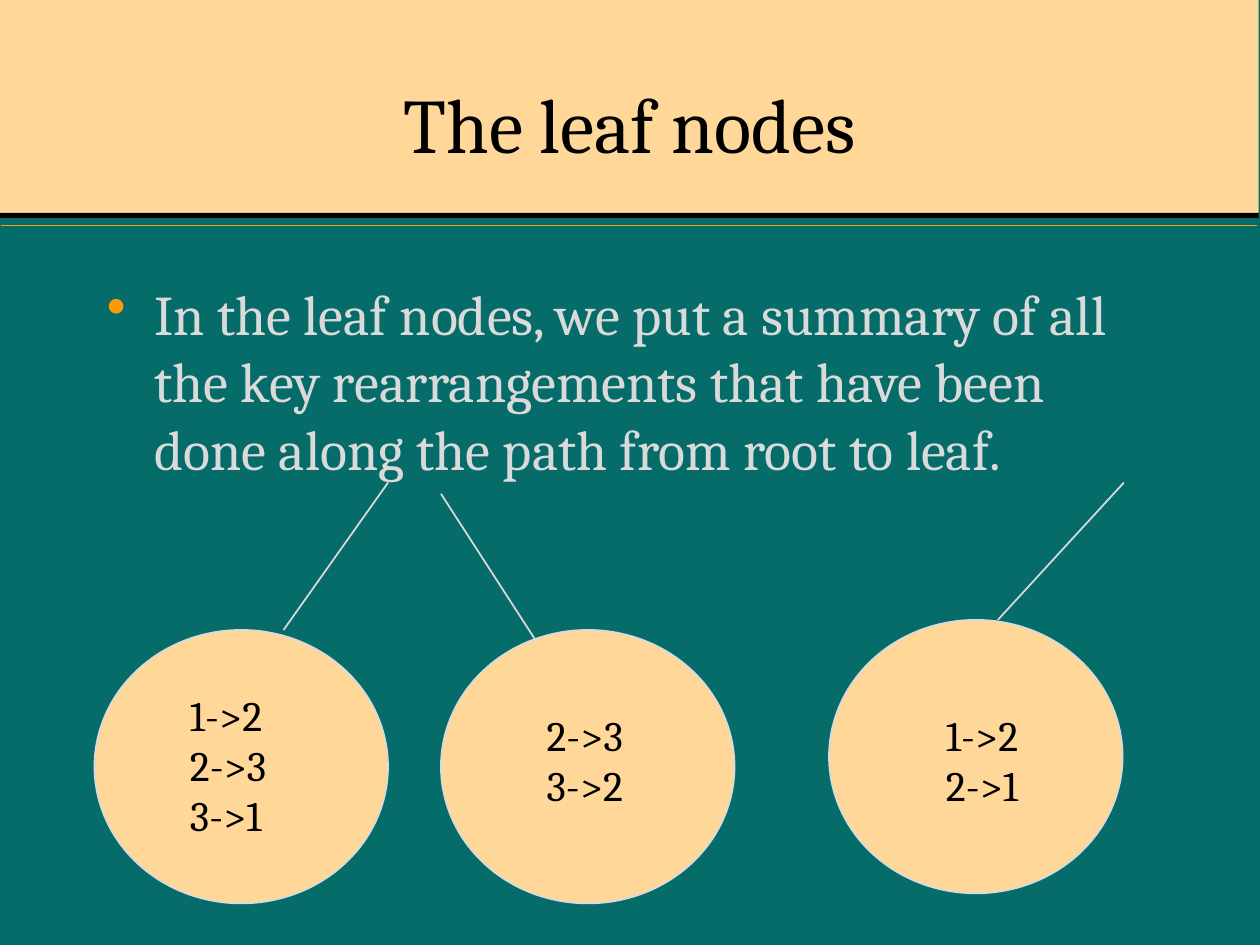
from lxml import etree
from pptx import Presentation
from pptx.dml.color import RGBColor
from pptx.enum.shapes import MSO_CONNECTOR, MSO_SHAPE
from pptx.enum.text import MSO_ANCHOR, MSO_AUTO_SIZE, PP_ALIGN
from pptx.oxml.ns import qn
from pptx.util import Inches, Pt

TEAL = RGBColor(0x05, 0x6C, 0x69)
PEACH = RGBColor(0xFF, 0xD7, 0x98)
ORANGE = RGBColor(0xFE, 0x9B, 0x03)
SILVER = RGBColor(0xDA, 0xDA, 0xDA)
BLACK = RGBColor(0, 0, 0)
FONT = "Cambria"
RECTANGLE, OVAL = MSO_SHAPE.RECTANGLE, MSO_SHAPE.OVAL
STRAIGHT = MSO_CONNECTOR.STRAIGHT
MIDDLE, CENTER = MSO_ANCHOR.MIDDLE, PP_ALIGN.CENTER
FIT_TEXT = MSO_AUTO_SIZE.SHAPE_TO_FIT_TEXT

NODE_WIDTH, NODE_HEIGHT = 2.33, 2.17
LABEL_WIDTH = 0.86
# node left, node top, label left, label top, label height, key moves
LEAVES = [
    (0.75, 5, 1.41, 5.42, 1.3, ["1->2", "2->3", "3->1"]),
    (3.5, 5, 4.24, 5.58, 0.9, ["2->3", "3->2"]),
    (6.58, 4.92, 7.41, 5.58, 0.9, ["1->2", "2->1"]),
]
BRANCHES = [
    ((2.25, 5), (3.08, 3.83)),
    ((4.25, 5.08), (3.5, 3.92)),
    ((7.92, 4.92), (8.92, 3.83)),
]


def set_font(paragraph, size, color):
    paragraph.font.name = FONT
    paragraph.font.size = Pt(size)
    paragraph.font.color.rgb = color


def add_filled(slide, preset, box, fill, outline=None):
    shape = slide.shapes.add_shape(preset, *map(Inches, box))
    shape.shadow.inherit = False
    shape.fill.solid()
    shape.fill.fore_color.rgb = fill
    if outline is None:
        shape.line.fill.background()
    else:
        shape.line.color.rgb = outline
        shape.line.width = Pt(1)


def add_line(slide, start, end, color):
    line = slide.shapes.add_connector(STRAIGHT, *map(Inches, start + end))
    line.line.color.rgb = color
    line.line.width = Pt(1)
    etree.SubElement(line._element.spPr, qn("a:effectLst"))


def add_title(slide, text):
    title = slide.shapes.title
    title.left, title.top, title.width, title.height = map(
        Inches, (0.75, 0.37, 8.5, 1.21))
    frame = title.text_frame
    frame.text = text
    frame.vertical_anchor = MIDDLE
    frame.paragraphs[0].alignment = CENTER
    set_font(frame.paragraphs[0], 44, BLACK)
    # Bring the title in front of the header band.
    slide.shapes._spTree.append(title._element)


def add_bullet(paragraph, color):
    properties = paragraph._p.get_or_add_pPr()
    properties.set("marL", str(Inches(0.38)))
    properties.set("indent", str(-Inches(0.38)))
    bullet_color = etree.SubElement(properties, qn("a:buClr"))
    etree.SubElement(bullet_color, qn("a:srgbClr"), val=str(color))
    etree.SubElement(properties, qn("a:buChar"), char="•")


def add_body(slide, text):
    body = slide.shapes.add_textbox(*map(Inches, (0.75, 2.17, 8.5, 2.25)))
    frame = body.text_frame
    frame.word_wrap = True
    frame.text = text
    add_bullet(frame.paragraphs[0], ORANGE)
    set_font(frame.paragraphs[0], 32, SILVER)


def add_label(slide, box, moves):
    frame = slide.shapes.add_textbox(*map(Inches, box)).text_frame
    frame.word_wrap = False
    frame.auto_size = FIT_TEXT
    frame.text = "\n".join(moves)
    for paragraph in frame.paragraphs:
        set_font(paragraph, 24, BLACK)


def main():
    deck = Presentation()
    deck.slide_width, deck.slide_height = Inches(10), Inches(7.5)
    slide = deck.slides.add_slide(deck.slide_layouts[5])
    slide.background.fill.solid()
    slide.background.fill.fore_color.rgb = TEAL

    add_filled(slide, RECTANGLE, (0, 0, 9.99, 1.69), PEACH)
    add_filled(slide, RECTANGLE, (0, 1.69, 9.99, 0.04), BLACK)
    add_line(slide, (0.01, 1.79), (9.98, 1.79), ORANGE)
    add_title(slide, "The leaf nodes")
    add_body(slide, "In the leaf nodes, we put a summary of all the key "
                    "rearrangements that have been done along the path "
                    "from root to leaf.")

    for left, top, label_left, label_top, label_height, moves in LEAVES:
        add_filled(slide, OVAL, (left, top, NODE_WIDTH, NODE_HEIGHT),
                   PEACH, SILVER)
        add_label(slide, (label_left, label_top, LABEL_WIDTH, label_height),
                  moves)
    for node_end, parent_end in BRANCHES:
        add_line(slide, node_end, parent_end, SILVER)

    deck.save("out.pptx")


if __name__ == "__main__":
    main()
